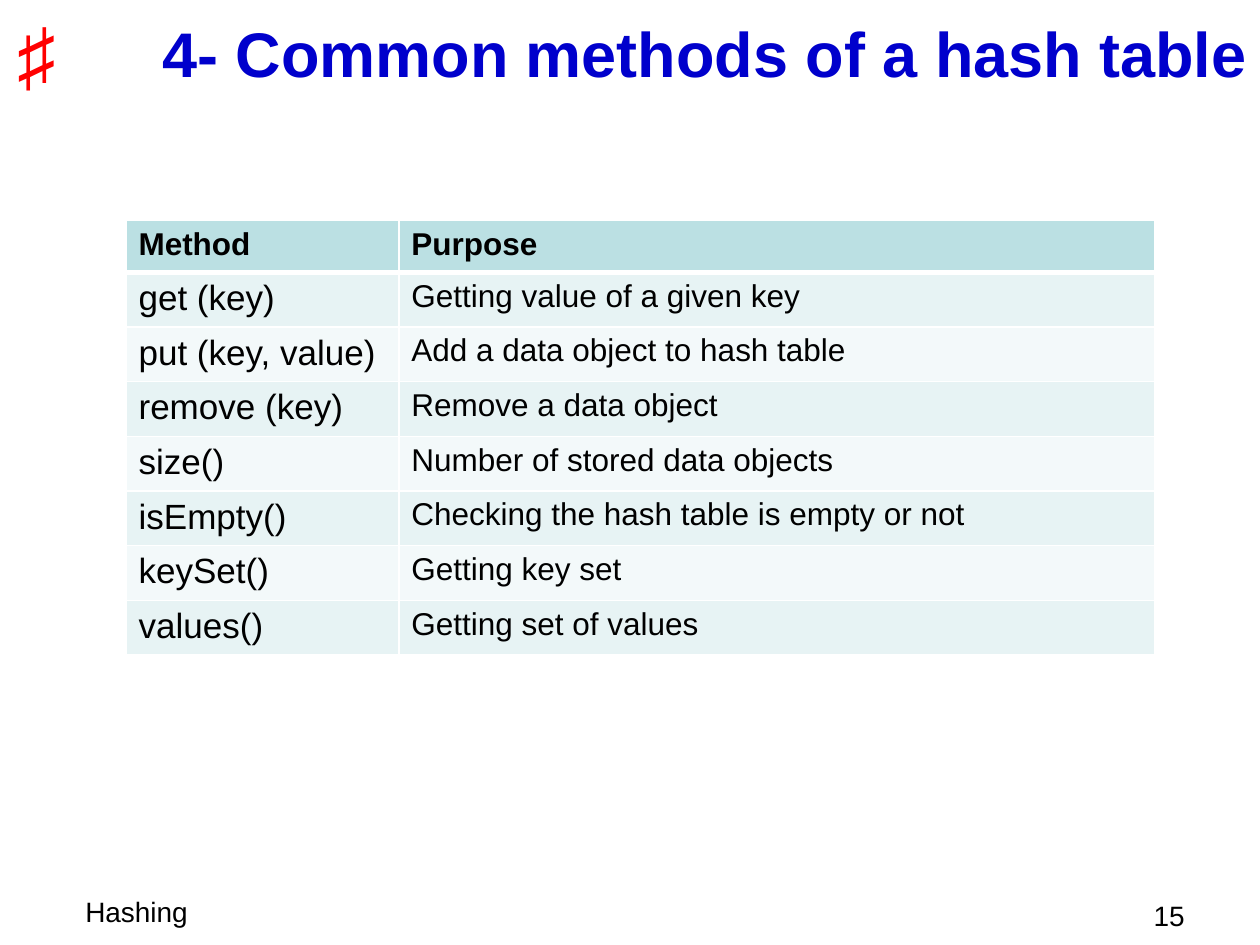
from dataclasses import dataclass

from lxml.etree import SubElement
from pptx import Presentation
from pptx.dml.color import RGBColor
from pptx.enum.text import MSO_ANCHOR, MSO_AUTO_SIZE, PP_ALIGN
from pptx.oxml.ns import qn
from pptx.util import Cm, Pt


@dataclass(frozen=True)
class Theme:
    sans: str = "Arial"
    serif: str = "Times New Roman"
    ink: str = "000000"
    blue: str = "0000CC"
    red: str = "FF0000"
    edge: str = "FFFFFF"
    head: str = "BBE0E3"
    bands: tuple = ("E7F3F4", "F3F9FA")
    title: int = 36
    mark: int = 44
    code: int = 20
    body: int = 18
    foot: int = 16


ROWS = [
    ("Method", "Purpose"),
    ("get (key)", "Getting value of a given key"),
    ("put (key, value)", "Add a data object to hash table"),
    ("remove (key)", "Remove a data object"),
    ("size()", "Number of stored data objects"),
    ("isEmpty()", "Checking the hash table is empty or not"),
    ("keySet()", "Getting key set"),
    ("values()", "Getting set of values"),
]


class Deck:
    def __init__(self, theme):
        self.theme = theme
        self.prs = Presentation()
        self.prs.slide_width, self.prs.slide_height = Cm(25.4), Cm(19.05)
        self.slide = self.prs.slides.add_slide(self.prs.slide_layouts[5])

    def text(self, frame, words, size, color=None, font=None, bold=False,
             align=PP_ALIGN.LEFT):
        para = frame.paragraphs[0]
        para.alignment = align
        run = para.add_run()
        run.text = words
        look = {"name": font or self.theme.sans, "size": Pt(size), "bold": bold}
        for key, value in look.items():
            setattr(run.font, key, value)
        run.font.color.rgb = RGBColor.from_string(color or self.theme.ink)

    def title(self, words, box):
        shape = self.slide.shapes.title
        for key, value in zip(("left", "top", "width", "height"), box):
            setattr(shape, key, Cm(value))
        frame = shape.text_frame
        frame.auto_size = MSO_AUTO_SIZE.NONE
        frame.vertical_anchor = MSO_ANCHOR.MIDDLE
        self.text(frame, words, self.theme.title, self.theme.blue,
                  bold=True, align=PP_ALIGN.RIGHT)

    def label(self, words, box, size, **look):
        shape = self.slide.shapes.add_textbox(*map(Cm, box))
        shape.text_frame.word_wrap = True
        self.text(shape.text_frame, words, size, **look)

    def border(self, cell, widths):
        """Draw the cell's sides; widths maps L, R, T, B to points."""
        props = cell._tc.get_or_add_tcPr()
        for side, width in widths.items():
            line = SubElement(props, qn(f"a:ln{side}"), w=str(Pt(width)))
            fill = SubElement(line, qn("a:solidFill"))
            SubElement(fill, qn("a:srgbClr"), val=self.theme.edge)

    def table(self, rows, left, top, widths, height):
        theme = self.theme
        grid = self.slide.shapes.add_table(
            len(rows), len(widths), Cm(left), Cm(top),
            Cm(sum(widths)), Cm(height * len(rows))).table
        for col, width in zip(grid.columns, widths):
            col.width = Cm(width)
        for r, row in enumerate(rows):
            head = r == 0
            shade = theme.head if head else theme.bands[(r - 1) % 2]
            for c, words in enumerate(row):
                cell = grid.cell(r, c)
                self.border(cell, {"L": 1, "R": 1, "T": 3 if r == 1 else 1,
                                   "B": 3 if head else 1})
                cell.fill.solid()
                cell.fill.fore_color.rgb = RGBColor.from_string(shade)
                size = theme.body if head or c else theme.code
                self.text(cell.text_frame, words, size, bold=head)


def main():
    theme = Theme()
    deck = Deck(theme)
    deck.label("Hashing", (1.47, 17.9, 14.4, 0.94), theme.foot)
    deck.label("♯", (0, 0, 1.47, 2.13), theme.mark, color=theme.red,
               font=theme.serif, align=PP_ALIGN.CENTER)
    deck.title("4- Common methods of a hash table", (1.27, 0.2, 24.13, 1.7))
    deck.label("15", (22.43, 17.98, 1.7, 0.64), theme.foot,
               align=PP_ALIGN.RIGHT)
    deck.table(ROWS, 2.54, 4.45, (5.5, 15.24), 1.04)
    deck.prs.save("out.pptx")


if __name__ == "__main__":
    main()
